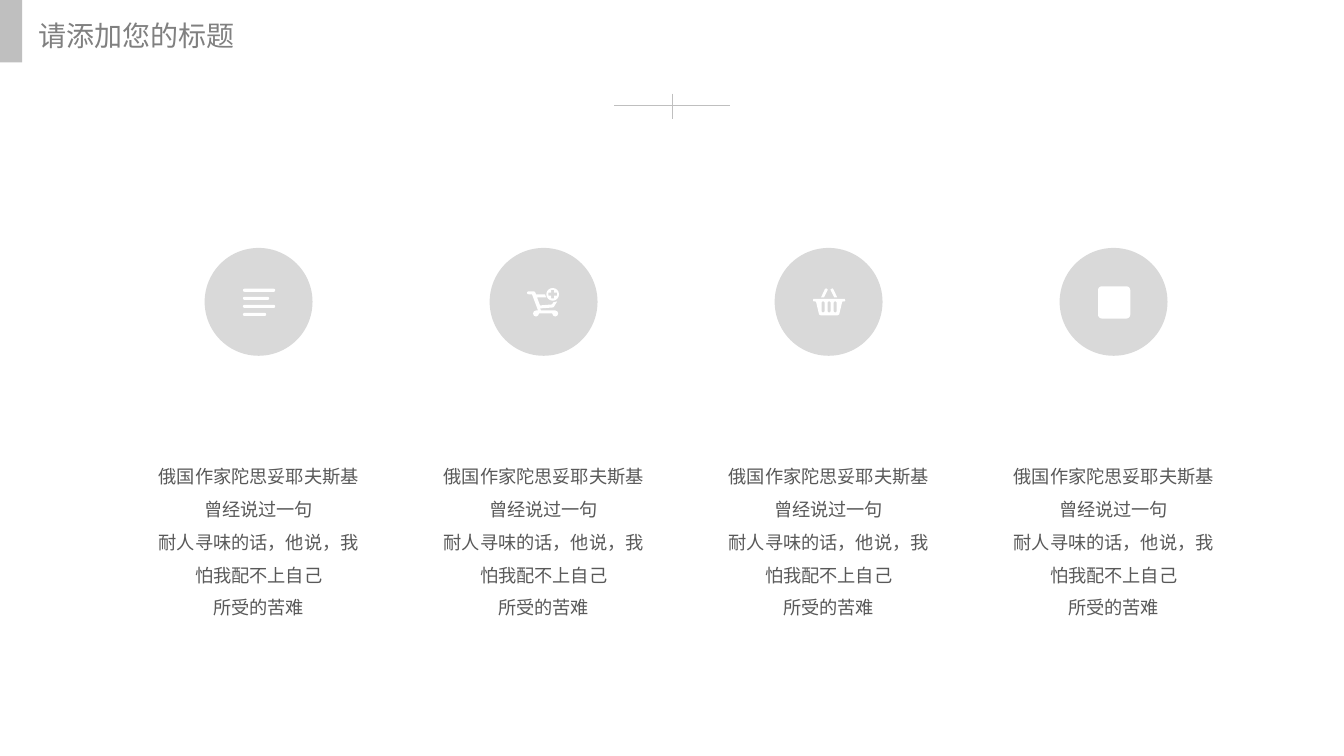
from dataclasses import dataclass
from math import atan2, cos, pi, sin
from typing import Any

from lxml import etree
from pptx import Presentation
from pptx import util as u
from pptx.dml.color import RGBColor
from pptx.enum import shapes, text
from pptx.oxml.ns import qn
from pptx.util import Inches

WHITE = RGBColor(0xFF, 0xFF, 0xFF)
DISC_GRAY = RGBColor(0xD9, 0xD9, 0xD9)
ACCENT_GRAY = RGBColor(0xBF, 0xBF, 0xBF)
TITLE_GRAY = RGBColor(0x80, 0x80, 0x80)
BODY_GRAY = RGBColor(0x59, 0x59, 0x59)
FONT = "Noto Sans CJK SC"

DISC_SIZE, DISC_TOP = 1.07, 2.46
FIRST_DISC, LAST_DISC = 2.03, 10.51
CAPTION_WIDTH, CAPTION_HEIGHT, CAPTION_TOP = 2.05, 1.04, 4.51
CAPTION = [
    "俄国作家陀思妥耶夫斯基",
    "曾经说过一句",
    "耐人寻味的话，他说，我怕我配不上自己",
    "所受的苦难",
]

Contour = list[tuple[float, float]]


@dataclass
class Feature:
    """Icon contours are in hundredths of an inch from the disc's corner."""
    icon: list[Contour]
    caption: list[str]


@dataclass
class TextStyle:
    size: float
    color: RGBColor
    paragraph: dict[str, Any]
    frame: dict[str, Any]


TITLE_STYLE = TextStyle(
    20, TITLE_GRAY,
    {"alignment": text.PP_ALIGN.RIGHT, "line_spacing": 1.2, "space_before": u.Pt(4)},
    {"margin_left": 0, "margin_right": 0,
     "margin_top": Inches(0.08), "margin_bottom": Inches(0.08),
     "vertical_anchor": text.MSO_ANCHOR.MIDDLE,
     "auto_size": text.MSO_AUTO_SIZE.NONE, "word_wrap": True},
)
CAPTION_STYLE = TextStyle(
    13, BODY_GRAY,
    {"alignment": text.PP_ALIGN.CENTER, "line_spacing": 1.5},
    {"margin_left": 0, "margin_right": 0, "margin_top": 0, "margin_bottom": 0,
     "vertical_anchor": text.MSO_ANCHOR.TOP, "word_wrap": True},
)


def apply(target: Any, values: dict[str, Any]) -> None:
    for attribute, value in values.items():
        setattr(target, attribute, value)


def capsule(x1: float, y1: float, x2: float, y2: float, radius: float) -> Contour:
    """Outline of a round-ended bar, or of a circle when both ends meet."""
    steps = 8
    angle = atan2(y2 - y1, x2 - x1)
    return [
        (x + radius * cos(start + pi * k / steps), y + radius * sin(start + pi * k / steps))
        for x, y, start in ((x2, y2, angle - pi / 2), (x1, y1, angle + pi / 2))
        for k in range(steps + 1)
    ]


def plus(x: float, y: float, arm: float, half: float) -> Contour:
    quarter = [(arm, -half), (arm, half), (half, half)]
    contour: Contour = []
    for _ in range(4):
        contour += [(x + dx, y + dy) for dx, dy in quarter]
        quarter = [(-dy, dx) for dx, dy in quarter]
    return contour


def text_lines_icon() -> list[Contour]:
    return [capsule(39.5, 42 + 8 * row, right, 42 + 8 * row, 1.5)
            for row, right in enumerate((68.5, 62.5, 68.5, 59.5))]


def cart_icon() -> list[Contour]:
    body = [
        (50, 57), (62, 56), (63, 54), (67, 53), (64, 58), (63, 59), (50, 60),
        (51, 62), (65, 62), (67.1, 62.9), (68, 65), (67.1, 67.1), (65, 68),
        (63, 67), (62, 65), (49, 65), (48, 67), (46, 68), (43.9, 67.1),
        (43, 65), (43.9, 62.9), (46, 62), (48, 62), (42, 46), (39, 46),
        (37.5, 45.6), (37, 44.5), (37.5, 43.4), (39, 43), (43, 43), (45, 43.5),
        (46, 46), (55, 46), (56, 49), (47, 49),
    ]
    return [body, capsule(62.5, 46, 62.5, 46, 6.3), plus(62.5, 45.8, 4.3, 1.4)]


def basket_icon() -> list[Contour]:
    bowl = [(69.5, 50.5), (70, 52), (69.5, 53), (67, 53.3), (64, 66), (62, 67)]
    handle = [(56, 43), (55.3, 41.5), (57, 40), (58.2, 41), (62, 49), (59, 49)]
    mirrored_bowl, mirrored_handle = (
        [(108 - x, y) for x, y in reversed(side)] for side in (bowl, handle))
    slots = [capsule(x, 54.5, x, 62.5, 1.5) for x in (48, 54, 60)]
    return [bowl + mirrored_bowl, handle, mirrored_handle, *slots]


def rounded_square_icon() -> list[Contour]:
    radius, near, far = 4, 42, 66
    corners = ((far, near, -pi / 2), (far, far, 0), (near, far, pi / 2), (near, near, pi))
    return [[(x + radius * cos(start + pi * k / 12), y + radius * sin(start + pi * k / 12))
             for x, y, start in corners for k in range(7)]]


def paint(shape: Any, color: RGBColor) -> None:
    shape.shadow.inherit = False
    shape.fill.solid()
    shape.fill.fore_color.rgb = color
    shape.line.fill.background()


def add_block(slide: Any, kind: shapes.MSO_SHAPE, left: float, top: float,
              width: float, height: float, color: RGBColor) -> None:
    paint(slide.shapes.add_shape(kind, *map(Inches, (left, top, width, height))), color)


def add_icon(slide: Any, contours: list[Contour], left: float, top: float) -> None:
    first, *rest = [[(Inches(x / 100), Inches(y / 100)) for x, y in contour]
                    for contour in contours]
    outline = slide.shapes.build_freeform(*first[0])
    outline.add_line_segments(first[1:], close=True)
    for contour in rest:
        outline.move_to(*contour[0])
        outline.add_line_segments(contour[1:], close=True)
    paint(outline.convert_to_shape(Inches(left), Inches(top)), WHITE)


def add_rule(slide: Any, x1: float, y1: float, x2: float, y2: float) -> None:
    rule = slide.shapes.add_connector(
        shapes.MSO_CONNECTOR.STRAIGHT, *map(Inches, (x1, y1, x2, y2)))
    rule.line.color.rgb = ACCENT_GRAY
    rule.line.width = u.Pt(0.5)
    etree.SubElement(rule._element.spPr, qn("a:effectLst"))


def write(frame: Any, lines: list[str], style: TextStyle) -> None:
    apply(frame, style.frame)
    for index, line in enumerate(lines):
        paragraph = frame.add_paragraph() if index else frame.paragraphs[0]
        apply(paragraph, style.paragraph)
        run = paragraph.add_run()
        run.text = line
        apply(run.font, {"name": FONT, "size": u.Pt(style.size)})
        run.font.color.rgb = style.color
        etree.SubElement(run._r.get_or_add_rPr(), qn("a:ea"), typeface=FONT)


def add_feature(slide: Any, feature: Feature, left: float) -> None:
    add_block(slide, shapes.MSO_SHAPE.OVAL, left, DISC_TOP, DISC_SIZE, DISC_SIZE, DISC_GRAY)
    add_icon(slide, feature.icon, left, DISC_TOP)
    caption_left = left + (DISC_SIZE - CAPTION_WIDTH) / 2
    caption = slide.shapes.add_textbox(
        *map(Inches, (caption_left, CAPTION_TOP, CAPTION_WIDTH, CAPTION_HEIGHT)))
    write(caption.text_frame, feature.caption, CAPTION_STYLE)


def main() -> None:
    deck = Presentation()
    apply(deck, {"slide_width": Inches(13.33), "slide_height": Inches(7.5)})
    slide = deck.slides.add_slide(deck.slide_layouts.get_by_name("Title Only"))

    add_block(slide, shapes.MSO_SHAPE.RECTANGLE, 0, 0, 0.22, 0.62, ACCENT_GRAY)
    title = slide.shapes.title
    apply(title, {"left": Inches(0), "top": Inches(0.17),
                  "width": Inches(2.33), "height": Inches(0.29)})
    write(title.text_frame, ["请添加您的标题"], TITLE_STYLE)

    add_rule(slide, 6.09, 1.05, 7.24, 1.05)
    add_rule(slide, 6.67, 0.93, 6.67, 1.18)

    icons = (text_lines_icon(), cart_icon(), basket_icon(), rounded_square_icon())
    features = [Feature(icon, CAPTION) for icon in icons]
    pitch = (LAST_DISC - FIRST_DISC) / (len(features) - 1)
    for column, feature in enumerate(features):
        add_feature(slide, feature, FIRST_DISC + column * pitch)

    deck.save("out.pptx")


if __name__ == "__main__":
    main()
